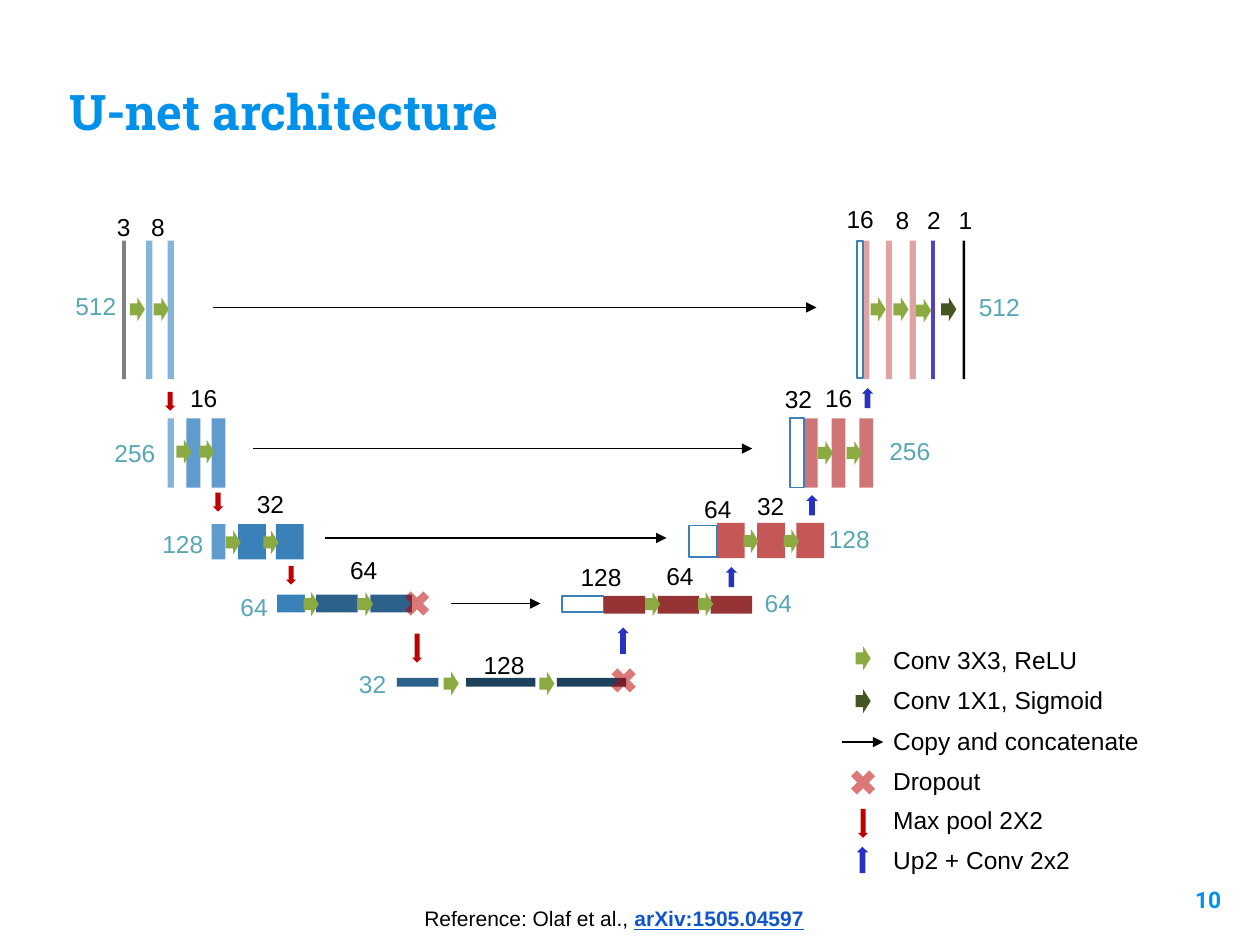
import dataclasses

import pptx
import pptx.dml.color
import pptx.enum.shapes
import pptx.enum.text
import pptx.oxml
import pptx.oxml.ns
import pptx.util

PX = 9144
SHAPES = pptx.enum.shapes.MSO_SHAPE
ALIGN = pptx.enum.text.PP_ALIGN
ANCHOR = pptx.enum.text.MSO_ANCHOR
DRAWING_NS = pptx.oxml.ns.nsdecls("a")


@dataclasses.dataclass(frozen=True)
class Theme:
    heading_font: str = "Roboto Slab"
    number_font: str = "Roboto"
    body_font: str = "Arial"
    heading_size: int = 28
    number_size: int = 13
    label_size: int = 14
    reference_size: int = 12
    accent: str = "0091EA"
    ink: str = "000000"
    link: str = "1155CC"
    resolution: str = "57A7B5"
    copied: str = "3A81BA"
    input: str = "808080"
    classes: str = "5243BB"
    conv: str = "8BAB42"
    sigmoid: str = "465621"
    pool: str = "C00000"
    up: str = "2732C3"
    encoder: tuple = ("85B4D9", "5F9BCD", "3A81BA", "2B618B", "1D405D")
    decoder: tuple = ("E0A3A3", "D07576", "C55757", "963334")


THEME = Theme()
ENC, DEC = THEME.encoder, THEME.decoder

SYMBOLS = {
    "conv": (SHAPES.RIGHT_ARROW, THEME.conv, 12, 19),
    "sigmoid": (SHAPES.RIGHT_ARROW, THEME.sigmoid, 12, 19),
    "dropout": (SHAPES.MATH_MULTIPLY, THEME.pool, 28, 28),
    "pool": (SHAPES.DOWN_ARROW, THEME.pool, 8, 15),
    "deep pool": (SHAPES.DOWN_ARROW, THEME.pool, 8, 23),
    "up": (SHAPES.UP_ARROW, THEME.up, 9, 16),
    "deep up": (SHAPES.UP_ARROW, THEME.up, 9, 21),
}

# Offsets in every level start from the top left corner of its first bar.
LEVELS = [
    dict(box=(97, 191, 41, 110), bars=[(0, 3, THEME.input), (19, 5, ENC[0]), (36, 5, ENC[0])],
         symbols=[("conv", 6, 45), ("conv", 25, 45), ("pool", 34, 120)],
         channels=[("3", -14, -28), ("8", 13, -28)], resolution=("512", -47, 35)),
    dict(box=(133, 332, 46, 55), bars=[(0, 5, ENC[0]), (15, 11, ENC[1]), (35, 11, ENC[1])],
         symbols=[("conv", 7, 17), ("conv", 25, 17), ("pool", 36, 59)],
         channels=[("16", 8, -33)], resolution=("256", -52, 11)),
    dict(box=(168, 416, 73, 28), bars=[(0, 11, ENC[1]), (21, 22, ENC[2]), (51, 22, ENC[2])],
         symbols=[("conv", 11, 5), ("conv", 41, 5), ("pool", 59, 33)],
         channels=[("32", 26, -33)], resolution=("128", -49, -1)),
    dict(box=(220, 472, 107, 14), bars=[(0, 22, ENC[2]), (31, 33, ENC[3]), (74, 33, ENC[3])],
         symbols=[("conv", 21, -2), ("conv", 64, -2), ("dropout", 97, -7), ("deep pool", 107, 31)],
         channels=[("64", 48, -36)], resolution=("64", -39, -7)),
    dict(box=(315, 538, 182, 7), bars=[(0, 33, ENC[3]), (55, 55, ENC[4]), (127, 55, ENC[4])],
         symbols=[("conv", 37, -5), ("conv", 113, -5), ("dropout", 166, -12), ("deep up", 175, -40)],
         channels=[("128", 59, -27)], resolution=("32", -40, -12)),
    dict(box=(446, 473, 151, 14), copied=(33, 0, 13),
         bars=[(x, 33, DEC[3]) for x in (33, 76, 118)],
         symbols=[("conv", 66, -3), ("conv", 108, -3), ("up", 130, -23)],
         channels=[("128", 5, -32), ("64", 73, -33)], resolution=("64", 151, -11)),
    dict(box=(547, 415, 107, 28), copied=(22, 2, 25),
         bars=[(x, 22, DEC[2]) for x in (22, 54, 85)],
         symbols=[("conv", 43, 5), ("conv", 75, 5), ("up", 93, -22)],
         channels=[("64", 2, -28), ("32", 44, -30)], resolution=("128", 101, -4)),
    dict(box=(627, 332, 66, 55), copied=(11, 0, 55),
         bars=[(x, 11, DEC[1]) for x in (11, 33, 55)],
         symbols=[("conv", 22, 18), ("conv", 45, 18), ("up", 57, -24)],
         channels=[("32", -14, -32), ("16", 18, -33)], resolution=("256", 69, 9)),
    dict(box=(680, 191, 86, 110), copied=(5, 0, 109),
         bars=[(x, 5, DEC[0]) for x in (5, 23, 42)] + [(59, 3, THEME.classes), (84, 2, THEME.ink)],
         symbols=[("conv", 11, 45), ("conv", 29, 45), ("conv", 47, 46), ("sigmoid", 67, 45)],
         channels=[("16", -18, -34), ("8", 21, -33), ("2", 46, -33), ("1", 71, -33)],
         resolution=("512", 87, 36)),
]

COPIES = [(169, 244, 479), (201, 356, 396), (258, 427, 271), (358, 479, 71)]

LEGEND = [
    ("conv", 11, 6, "Conv 3X3, ReLU", 167),
    ("sigmoid", 11, 8, "Conv 1X1, Sigmoid", 188),
    ("copy", 0, 18, "Copy and concatenate", 216),
    ("dropout", 3, 4, "Dropout", 90),
    ("deep pool", 13, 8, "Max pool 2X2", 140),
    ("deep up", 12, 6, "Up2 + Conv 2x2", 161),
]


def rgb(value):
    return pptx.dml.color.RGBColor.from_string(value)


def emu(*lengths):
    return [length * PX for length in lengths]


def add_text(slide, box, runs, size, font=THEME.body_font, align=ALIGN.LEFT,
             anchor=ANCHOR.TOP, inset=None, wrap=True):
    frame = slide.shapes.add_textbox(*emu(*box)).text_frame
    frame.word_wrap = wrap
    frame.vertical_anchor = anchor
    if inset is not None:
        frame.margin_left = frame.margin_right = inset * PX
        frame.margin_top = frame.margin_bottom = inset * PX
    line = frame.paragraphs[0]
    line.alignment = align
    for words, color, bold, underline in runs:
        run = line.add_run()
        run.text = words
        run.font.name = font
        run.font.size = pptx.util.Pt(size)
        run.font.bold = bold
        run.font.underline = underline
        run.font.color.rgb = rgb(color)


def add_block(slide, preset, box, fill=None, outline=None):
    block = slide.shapes.add_shape(preset, *emu(*box))
    block.shadow.inherit = False
    if fill:
        block.fill.solid()
        block.fill.fore_color.rgb = rgb(fill)
    else:
        block.fill.background()
    if outline:
        block.line.color.rgb = rgb(outline)
        block.line.width = pptx.util.Pt(1)
    else:
        block.line.fill.background()
    return block


def add_symbol(slide, name, left, top):
    preset, fill, width, height = SYMBOLS[name]
    symbol = add_block(slide, preset, (left, top, width, height), fill)
    if name == "dropout":
        color = symbol.fill._xPr.find(".//" + pptx.oxml.ns.qn("a:srgbClr"))
        color.append(pptx.oxml.parse_xml(f'<a:alpha {DRAWING_NS} val="53000"/>'))


def add_copy_arrow(slide, left, top, length):
    arrow = slide.shapes.add_connector(
        pptx.enum.shapes.MSO_CONNECTOR.STRAIGHT, *emu(left, top, left + length, top))
    arrow.line.color.rgb = rgb(THEME.ink)
    arrow.line.width = pptx.util.Pt(0.75)
    arrow.line._get_or_add_ln().append(
        pptx.oxml.parse_xml(f'<a:tailEnd {DRAWING_NS} type="triangle"/>'))
    arrow._element.spPr.append(pptx.oxml.parse_xml(f"<a:effectLst {DRAWING_NS}/>"))


def draw_level(slide, box, bars, symbols, channels, resolution, copied=None):
    left, top, _, height = box
    for x, width, fill in bars:
        add_block(slide, SHAPES.RECTANGLE, (left + x, top, width, height), fill)
    if copied:
        width, y, copied_height = copied
        add_block(slide, SHAPES.RECTANGLE, (left, top + y, width, copied_height),
                  outline=THEME.copied)
    for name, x, y in symbols:
        add_symbol(slide, name, left + x, top + y)
    labels = [(label, THEME.ink) for label in channels] + [(resolution, THEME.resolution)]
    for (number, x, y), color in labels:
        add_text(slide, (left + x, top + y, 20 + 11 * len(number), 34),
                 [(number, color, False, False)], THEME.label_size)


def draw_legend(slide, box):
    left, top, _, height = box
    for row, (name, x, y, meaning, width) in enumerate(LEGEND):
        row_top = top + round(row * height / len(LEGEND))
        if name == "copy":
            add_copy_arrow(slide, left + x, row_top + y, 33)
        else:
            add_symbol(slide, name, left + x, row_top + y)
        add_text(slide, (left + 31, row_top, width, 34),
                 [(meaning, THEME.ink, False, False)], THEME.label_size, wrap=False)


def draw_title(slide, box):
    add_text(slide, box, [("U-net architecture", THEME.accent, True, False)],
             THEME.heading_size, THEME.heading_font, anchor=ANCHOR.BOTTOM, inset=10)


def draw_page_number(slide, box):
    add_text(slide, box, [("10", THEME.accent, True, False)],
             THEME.number_size, THEME.number_font, align=ALIGN.RIGHT, inset=10)


def draw_reference(slide, box):
    add_text(slide, box, [("Reference: Olaf et al., ", THEME.ink, False, False),
                          ("arXiv:1505.04597", THEME.link, True, True)],
             THEME.reference_size, wrap=False)


def main():
    deck = pptx.Presentation()
    deck.slide_width, deck.slide_height = emu(1000, 750)
    slide = deck.slides.add_slide(deck.slide_layouts[6])
    draw_title(slide, (45, 19, 828, 102))
    for level in LEVELS:
        draw_level(slide, **level)
    for copy_arrow in COPIES:
        add_copy_arrow(slide, *copy_arrow)
    draw_legend(slide, (668, 507, 247, 191))
    draw_reference(slide, (327, 714, 323, 30))
    draw_page_number(slide, (919, 693, 60, 57))
    deck.save("out.pptx")


if __name__ == "__main__":
    main()
